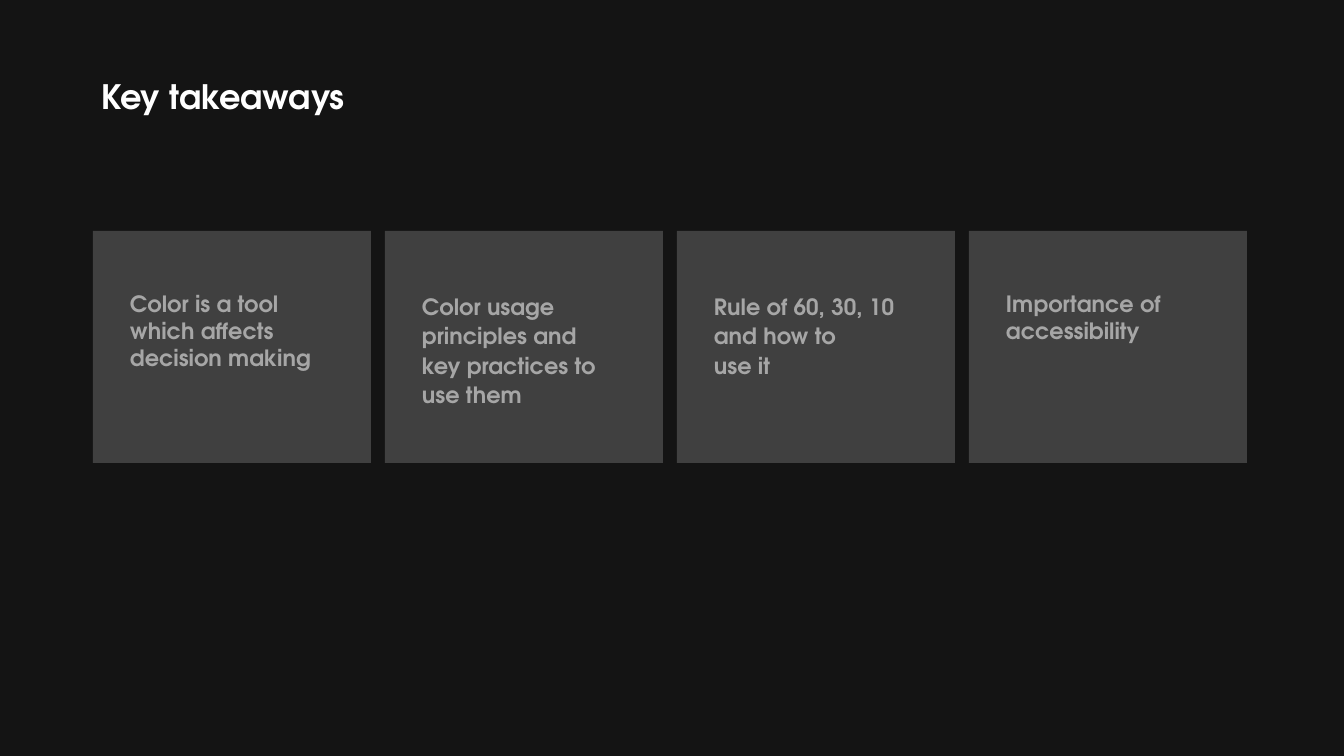
"""Build the key takeaways slide with four cards in a row."""
from dataclasses import dataclass

from pptx import Presentation
from pptx.dml.color import RGBColor
from pptx.enum.shapes import MSO_SHAPE
from pptx.enum.text import MSO_ANCHOR, MSO_AUTO_SIZE, PP_ALIGN
from pptx.util import Emu, Pt

RECTANGLE = MSO_SHAPE.RECTANGLE
TOP = MSO_ANCHOR.TOP
LEFT = PP_ALIGN.LEFT
NO_FIT = MSO_AUTO_SIZE.NONE
GROW = MSO_AUTO_SIZE.SHAPE_TO_FIT_TEXT
EMU_PER_PX = 11331
TITLE_ONLY = 5


@dataclass(frozen=True)
class Theme:
    font: str = "TeX Gyre Adventor"
    background: str = "141414"
    card: str = "404040"
    title: str = "FFFFFF"
    label: str = "A6A6A6"
    title_size: int = 30
    label_size: int = 20


def px(length):
    return Emu(length * EMU_PER_PX)


class Page:
    def __init__(self, deck, theme):
        self.theme = theme
        self.slide = deck.slides.add_slide(deck.slide_layouts[TITLE_ONLY])
        fill = self.slide.background.fill
        fill.solid()
        fill.fore_color.rgb = RGBColor.from_string(theme.background)

    def set_text(self, box, text, size, color, spacing, fit):
        frame = box.text_frame
        frame.text = text
        frame.word_wrap = True
        frame.auto_size = fit
        frame.vertical_anchor = TOP
        para = frame.paragraphs[0]
        para.alignment = LEFT
        para.line_spacing = spacing
        for span in para.runs:
            span.font.name = self.theme.font
            span.font.size = Pt(size)
            span.font.bold = True
            span.font.color.rgb = RGBColor.from_string(color)

    def title(self, text, left, top, width, height):
        box = self.slide.shapes.title
        box.left, box.top = px(left), px(top)
        box.width, box.height = px(width), px(height)
        self.set_text(box, text, self.theme.title_size, self.theme.title, 0.9, NO_FIT)
        box.text_frame.margin_top = 0

    def rectangle(self, group, left, top, width, height):
        box = group.shapes.add_shape(RECTANGLE, px(left), px(top), px(width), px(height))
        box.shadow.inherit = False
        box.fill.solid()
        box.fill.fore_color.rgb = RGBColor.from_string(self.theme.card)
        box.line.fill.background()
        return box

    def card(self, left, top, text, spacing, label_height):
        group = self.slide.shapes.add_group_shape()
        self.rectangle(group, left, top, 278, 232)
        label = self.rectangle(group, left + 29, top + 55, 219, label_height)
        self.set_text(label, text, self.theme.label_size, self.theme.label, spacing, GROW)


def main():
    deck = Presentation()
    deck.slide_width, deck.slide_height = px(1344), px(756)
    page = Page(deck, Theme())
    page.title("Key takeaways", 93, 80, 1160, 65)
    takeaways = [
        ("Color is a tool which affects decision making", 1.0, 90),
        ("Color usage principles and\vkey practices to use them", 1.1, 126),
        ("Rule of 60, 30, 10 and how to\vuse it", 1.1, 96),
        ("Importance of accessibility", 1.0, 90),
    ]
    for column, (text, spacing, label_height) in enumerate(takeaways):
        page.card(93 + 292 * column, 231, text, spacing, label_height)
    deck.save("out.pptx")


if __name__ == "__main__":
    main()
